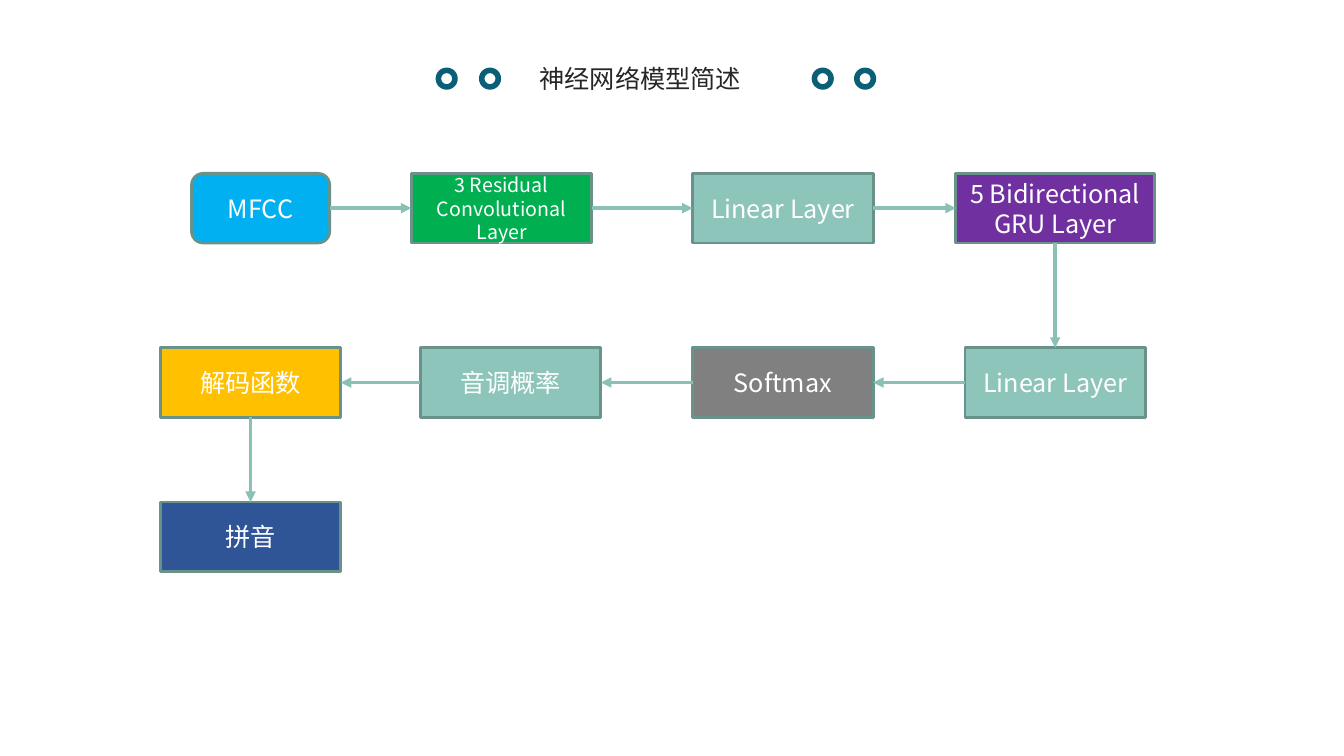
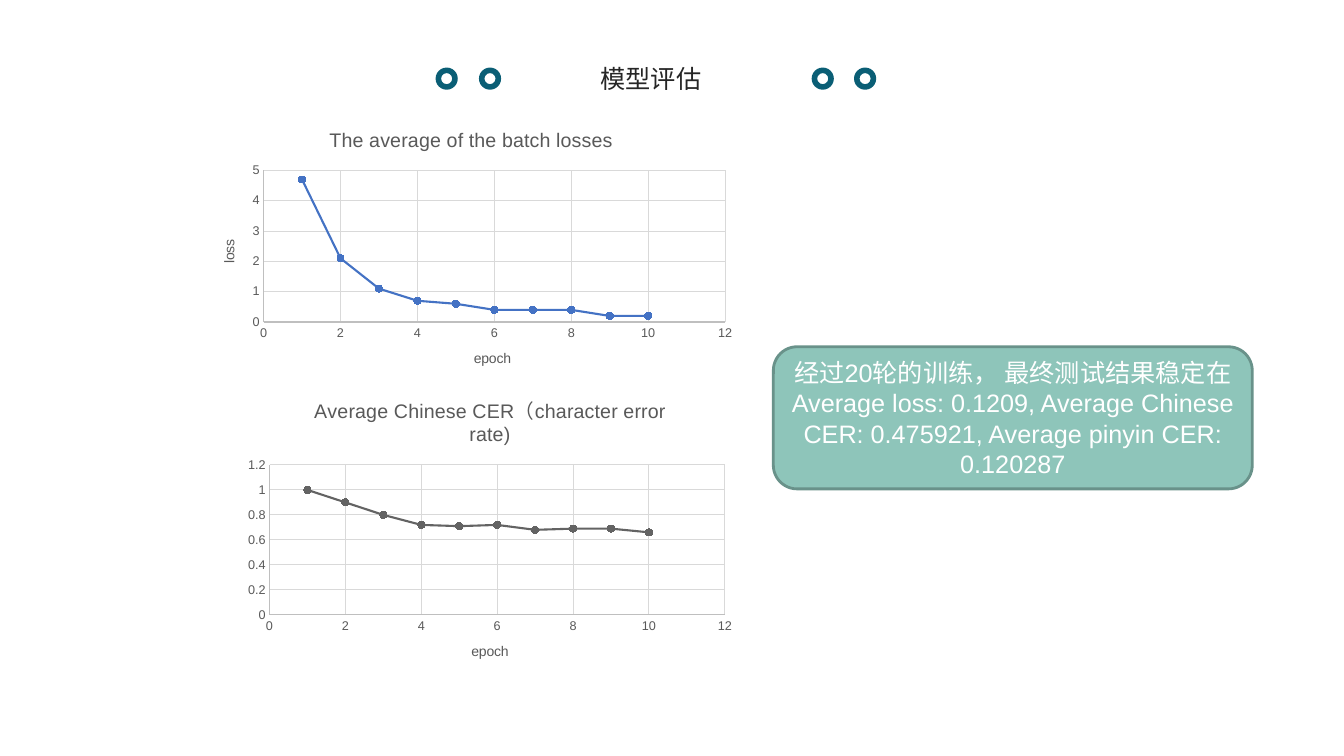
from dataclasses import dataclass

from lxml.etree import SubElement
from pptx import Presentation
from pptx.chart.data import XyChartData
from pptx.dml.color import RGBColor
from pptx.enum.chart import XL_CHART_TYPE, XL_MARKER_STYLE, XL_TICK_MARK
from pptx.enum.shapes import MSO_CONNECTOR, MSO_SHAPE
from pptx.enum.text import MSO_ANCHOR, MSO_AUTO_SIZE, PP_ALIGN
from pptx.oxml.ns import qn
from pptx.util import Inches, Pt

WHITE = RGBColor(0xFF, 0xFF, 0xFF)
INK = RGBColor(0x26, 0x26, 0x26)
RING_TEAL = RGBColor(0x0A, 0x5E, 0x75)
SAGE = RGBColor(0x8E, 0xC5, 0xBA)
BORDER = RGBColor(0x69, 0x92, 0x8A)
ARROW = RGBColor(0x89, 0xC1, 0xB6)
SKY = RGBColor(0x00, 0xB0, 0xF0)
GREEN = RGBColor(0x00, 0xB0, 0x50)
PURPLE = RGBColor(0x70, 0x30, 0xA0)
GRAY = RGBColor(0x80, 0x80, 0x80)
AMBER = RGBColor(0xFF, 0xC0, 0x00)
NAVY = RGBColor(0x2F, 0x55, 0x97)
CHART_BLUE = RGBColor(0x44, 0x72, 0xC4)
CHART_GRAY = RGBColor(0x63, 0x63, 0x63)
CHART_TEXT = RGBColor(0x59, 0x59, 0x59)
AXIS_LINE = RGBColor(0xBF, 0xBF, 0xBF)
GRID_LINE = RGBColor(0xD9, 0xD9, 0xD9)

CHINESE_FONT = "Noto Sans CJK SC"
LATIN_FONT = "Arial"

RING_LEFTS = (4.32, 4.75, 8.05, 8.47)
ROW_TOPS = (1.72, 3.45, 4.98)
STEP_HEIGHT = 0.69
TOP, LEFT, BOTTOM, RIGHT = range(4)  # connection sites of a rectangle


@dataclass(frozen=True)
class Step:
    text: str
    left: float
    row: int
    fill: RGBColor
    width: float = 1.79
    size: int = 18
    preset: MSO_SHAPE = MSO_SHAPE.RECTANGLE


@dataclass(frozen=True)
class LossChart:
    title: str
    frame: tuple[float, float, float, float]
    values: tuple[float, ...]
    color: RGBColor
    maximum: float
    unit: float
    value_title: str | None = None


STEPS = (
    Step("MFCC", 1.9, 0, SKY, width=1.37, preset=MSO_SHAPE.ROUNDED_RECTANGLE),
    Step("3 Residual\nConvolutional Layer", 4.08, 0, GREEN, size=14),
    Step("Linear Layer", 6.87, 0, SAGE),
    Step("5 Bidirectional GRU Layer", 9.48, 0, PURPLE, width=1.97),
    Step("Linear Layer", 9.57, 1, SAGE),
    Step("Softmax", 6.87, 1, GRAY),
    Step("音调概率", 4.17, 1, SAGE),
    Step("解码函数", 1.59, 1, AMBER),
    Step("拼音", 1.59, 2, NAVY),
)

CHARTS = (
    LossChart("The average of the batch losses", (1.98, 1.12, 5.39, 2.72),
              (4.7, 2.1, 1.1, 0.7, 0.6, 0.4, 0.4, 0.4, 0.2, 0.2),
              CHART_BLUE, maximum=5, unit=1, value_title="loss"),
    LossChart("Average Chinese CER（character error rate)", (2.36, 3.75, 5, 3),
              (1, 0.9, 0.8, 0.72, 0.71, 0.72, 0.68, 0.69, 0.69, 0.66),
              CHART_GRAY, maximum=1.2, unit=0.2),
)

SUMMARY = ("经过20轮的训练， 最终测试结果稳定在Average loss: 0.1209, "
           "Average Chinese CER: 0.475921, Average pinyin CER: 0.120287")


def set_font(font, *, size, color, name=LATIN_FONT):
    font.size = Pt(size)
    font.bold = False
    font.name = name
    font.color.rgb = color


def write_text(shape, text, *, size=18, color=WHITE, name=CHINESE_FONT,
               align=PP_ALIGN.CENTER, anchor=MSO_ANCHOR.MIDDLE):
    """Fill a shape with one paragraph per line of text."""
    frame = shape.text_frame
    frame.text = text
    frame.word_wrap = True
    frame.vertical_anchor = anchor
    for paragraph in frame.paragraphs:
        paragraph.alignment = align
        for span in paragraph.runs:
            set_font(span.font, size=size, color=color, name=name)
            east_asian = SubElement(span.font._element, qn("a:ea"))
            east_asian.set("typeface", CHINESE_FONT)


def add_box(page, preset, left, top, width, height, *, fill, border=None):
    box = page.shapes.add_shape(
        preset, Inches(left), Inches(top), Inches(width), Inches(height))
    box.shadow.inherit = False
    box.fill.solid()
    box.fill.fore_color.rgb = fill
    if border is None:
        box.line.fill.background()
    else:
        box.line.color.rgb = border
        box.line.width = Pt(2)
    return box


def add_arrow(page, source, source_site, target, target_site):
    arrow = page.shapes.add_connector(MSO_CONNECTOR.STRAIGHT, 0, 0, 0, 0)
    arrow.begin_connect(source, source_site)
    arrow.end_connect(target, target_site)
    arrow.line.color.rgb = ARROW
    arrow.line.width = Pt(2.5)
    SubElement(arrow.line._get_or_add_ln(), qn("a:tailEnd")).set("type", "triangle")
    SubElement(arrow._element.spPr, qn("a:effectLst"))


def add_page(deck, title, *, align):
    """Add a slide with its title between two pairs of rings."""
    page = deck.slides.add_slide(deck.slide_layouts.get_by_name("Title Only"))
    heading = page.shapes.title
    heading.left, heading.top = Inches(5.25), Inches(0.58)
    heading.width, heading.height = Inches(2.41), Inches(0.4)
    write_text(heading, title, color=INK, align=align, anchor=MSO_ANCHOR.TOP)
    heading.text_frame.auto_size = MSO_AUTO_SIZE.SHAPE_TO_FIT_TEXT
    for left in RING_LEFTS:
        add_box(page, MSO_SHAPE.DONUT, left, 0.67, 0.22, 0.22, fill=RING_TEAL)
    return page


def add_step(page, step: Step):
    box = add_box(page, step.preset, step.left, ROW_TOPS[step.row], step.width,
                  STEP_HEIGHT, fill=step.fill, border=BORDER)
    write_text(box, step.text, size=step.size)
    return box


def sites_between(source: Step, target: Step) -> tuple[int, int]:
    """Choose the sides that an arrow leaves and enters."""
    if source.row != target.row:
        return BOTTOM, TOP
    return (RIGHT, LEFT) if source.left < target.left else (LEFT, RIGHT)


def write_chart_title(owner, text, *, size):
    owner.has_title = True
    title = owner.chart_title if hasattr(owner, "chart_title") else owner.axis_title
    title.text_frame.text = text
    span = title.text_frame.paragraphs[0].runs[0]
    set_font(span.font, size=size, color=CHART_TEXT)


def format_axis(axis, *, maximum, unit, title=None):
    axis.minimum_scale, axis.maximum_scale, axis.major_unit = 0, maximum, unit
    axis.major_tick_mark = axis.minor_tick_mark = XL_TICK_MARK.NONE
    axis.has_major_gridlines = True
    for line, color in ((axis.format.line, AXIS_LINE),
                        (axis.major_gridlines.format.line, GRID_LINE)):
        line.color.rgb = color
        line.width = Pt(0.75)
    set_font(axis.tick_labels.font, size=9, color=CHART_TEXT)
    if title:
        write_chart_title(axis, title, size=10)
    else:
        axis.has_title = False


def add_loss_chart(page, plan: LossChart):
    data = XyChartData()
    points = data.add_series("Series 1")
    for epoch, value in enumerate(plan.values, start=1):
        points.add_data_point(epoch, value)
    chart = page.shapes.add_chart(
        XL_CHART_TYPE.XY_SCATTER_LINES, *map(Inches, plan.frame), data).chart
    chart.font.name = LATIN_FONT
    chart.font.size = Pt(10)
    chart.has_legend = False
    chart.plots[0].vary_by_categories = False
    write_chart_title(chart, plan.title, size=14)
    format_axis(chart.category_axis, maximum=12, unit=2, title="epoch")
    format_axis(chart.value_axis, maximum=plan.maximum, unit=plan.unit,
                title=plan.value_title)

    series = chart.plots[0].series[0]
    series.smooth = False
    series.format.line.color.rgb = plan.color
    series.format.line.width = Pt(1.5)
    marker = series.marker
    marker.style = XL_MARKER_STYLE.CIRCLE
    marker.size = 5
    marker.format.fill.solid()
    marker.format.fill.fore_color.rgb = plan.color
    marker.format.line.color.rgb = plan.color


def build_network_page(deck):
    page = add_page(deck, "神经网络模型简述", align=PP_ALIGN.LEFT)
    boxes = [add_step(page, step) for step in STEPS]
    for index in range(len(STEPS) - 1):
        source_site, target_site = sites_between(STEPS[index], STEPS[index + 1])
        add_arrow(page, boxes[index], source_site, boxes[index + 1], target_site)


def build_evaluation_page(deck):
    page = add_page(deck, "模型评估", align=PP_ALIGN.CENTER)
    for plan in CHARTS:
        add_loss_chart(page, plan)
    summary = add_box(page, MSO_SHAPE.ROUNDED_RECTANGLE, 7.67, 3.44, 4.75, 1.41,
                      fill=SAGE, border=BORDER)
    write_text(summary, SUMMARY, name=LATIN_FONT)


def main():
    deck = Presentation()
    deck.slide_width, deck.slide_height = Inches(13.33), Inches(7.5)
    build_network_page(deck)
    build_evaluation_page(deck)
    deck.save("out.pptx")


if __name__ == "__main__":
    main()
